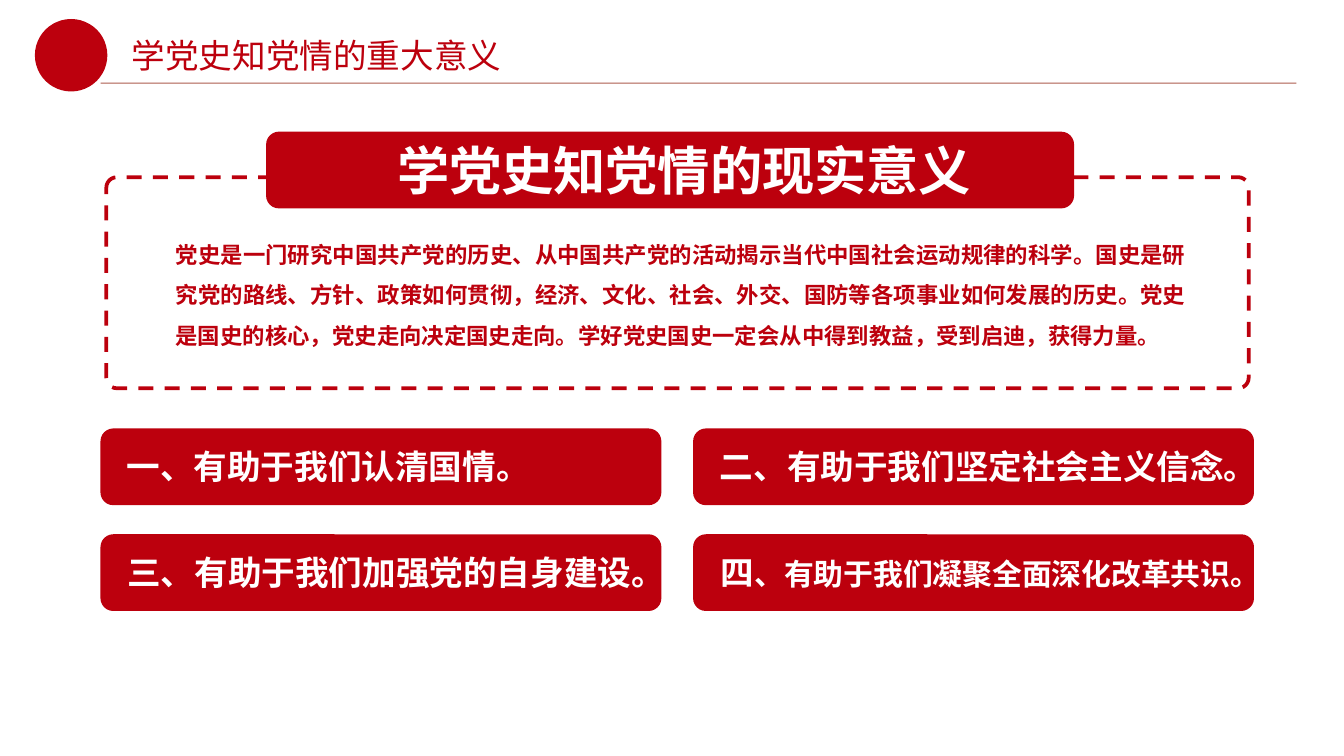
import pptx
import pptx.util
import pptx.dml.color
import pptx.enum.dml
import pptx.enum.shapes
import pptx.enum.text
import pptx.oxml.ns
import lxml.etree

Cm = pptx.util.Cm
Pt = pptx.util.Pt
qn = pptx.oxml.ns.qn
KIND = pptx.enum.shapes.MSO_SHAPE
ALIGN = pptx.enum.text.PP_ALIGN
ANCHOR = pptx.enum.text.MSO_ANCHOR
RED = pptx.dml.color.RGBColor(0xBC, 0x00, 0x0D)
BROWN = pptx.dml.color.RGBColor(0x8E, 0x1F, 0x0C)
WHITE = pptx.dml.color.RGBColor(0xFF, 0xFF, 0xFF)
FACE = "Noto Sans CJK SC"

deck = pptx.Presentation()
deck.slide_width = Cm(25.4)
deck.slide_height = Cm(14.29)
slide = deck.slides.add_slide(deck.slide_layouts[6])
shapes = slide.shapes


def add_block(kind, left, top, width, height):
    block = shapes.add_shape(kind, Cm(left), Cm(top), Cm(width), Cm(height))
    block.shadow.inherit = False
    block.fill.solid()
    block.fill.fore_color.rgb = RED
    block.line.fill.background()
    return block


def add_text(left, top, width, height, parts, size, color, bold, align, wrap):
    box = shapes.add_textbox(Cm(left), Cm(top), Cm(width), Cm(height))
    box.text_frame.word_wrap = wrap
    para = box.text_frame.paragraphs[0]
    for part in parts:
        para.add_run().text = part
    para.alignment = align
    font = para.font
    font.name = FACE
    font.size = Pt(size)
    font.bold = bold
    font.color.rgb = color
    base = para._p.pPr.find(qn("a:defRPr"))
    lxml.etree.SubElement(base, qn("a:ea")).set("typeface", FACE)
    return box


rule = shapes.add_connector(
    pptx.enum.shapes.MSO_CONNECTOR.STRAIGHT, Cm(1.9), Cm(1.57), Cm(24.5), Cm(1.57)
)
rule.line.color.rgb = BROWN
rule.line.width = Pt(0.5)
lxml.etree.SubElement(rule._element.spPr, qn("a:effectLst"))
tint = rule._element.spPr.find(".//" + qn("a:srgbClr"))
lxml.etree.SubElement(tint, qn("a:alpha")).set("val", "73000")

add_block(KIND.OVAL, 0.66, 0.36, 1.37, 1.37)
add_text(2.24, 0.53, 11.25, 1.4, ["学党史知党情的重大意义"], 18, RED, False, ALIGN.LEFT, True)

frame = add_block(KIND.ROUNDED_RECTANGLE, 2.01, 3.35, 21.59, 3.99)
frame.adjustments[0] = 0.05
frame.fill.background()
frame.line.color.rgb = RED
frame.line.width = Pt(2)
frame.line.dash_style = pptx.enum.dml.MSO_LINE.DASH

story = (
    "党史是一门研究中国共产党的历史、从中国共产党的活动揭示当代中国社会运动规律的科学。"
    "国史是研究党的路线、方针、政策如何贯彻，经济、文化、社会、外交、国防等各项事业如何发展的历史。"
    "党史是国史的核心，党史走向决定国史走向。"
    "学好党史国史一定会从中得到教益，受到启迪，获得力量。"
)
body = add_text(3.07, 2.95, 19.61, 5, [story], 12, RED, True, ALIGN.JUSTIFY, True)
body.text_frame.vertical_anchor = ANCHOR.MIDDLE
body.text_frame.paragraphs[0].line_spacing = 1.5

add_block(KIND.ROUNDED_RECTANGLE, 5.03, 2.49, 15.27, 1.45)
add_text(7.19, 2.49, 11.48, 1.45, ["学党史知党情的现实意义"], 28, WHITE, True, ALIGN.CENTER, False)

points = [
    (["一、有助于我们认清国情。"], 8.2),
    (["二、有助于我们坚定社会主义信念。"], 10.77),
    (["三、有助于我们加强党的自身建设。"], 10.77),
    (["四", "、有助于我们凝聚全面深化改革共识。"], 10.85),
]
for index, (parts, width) in enumerate(points):
    row, col = divmod(index, 2)
    left = 1.9 + 11.2 * col
    top = 8.1 + 2 * row
    add_block(KIND.ROUNDED_RECTANGLE, left, top, 10.6, 1.45)
    label = add_text(left + 0.2, top + 0.2, width, 1.02, parts, 18, WHITE, True, ALIGN.CENTER, False)
    for run in label.text_frame.paragraphs[0].runs[1:]:
        run.font.size = Pt(16)

deck.save("out.pptx")
